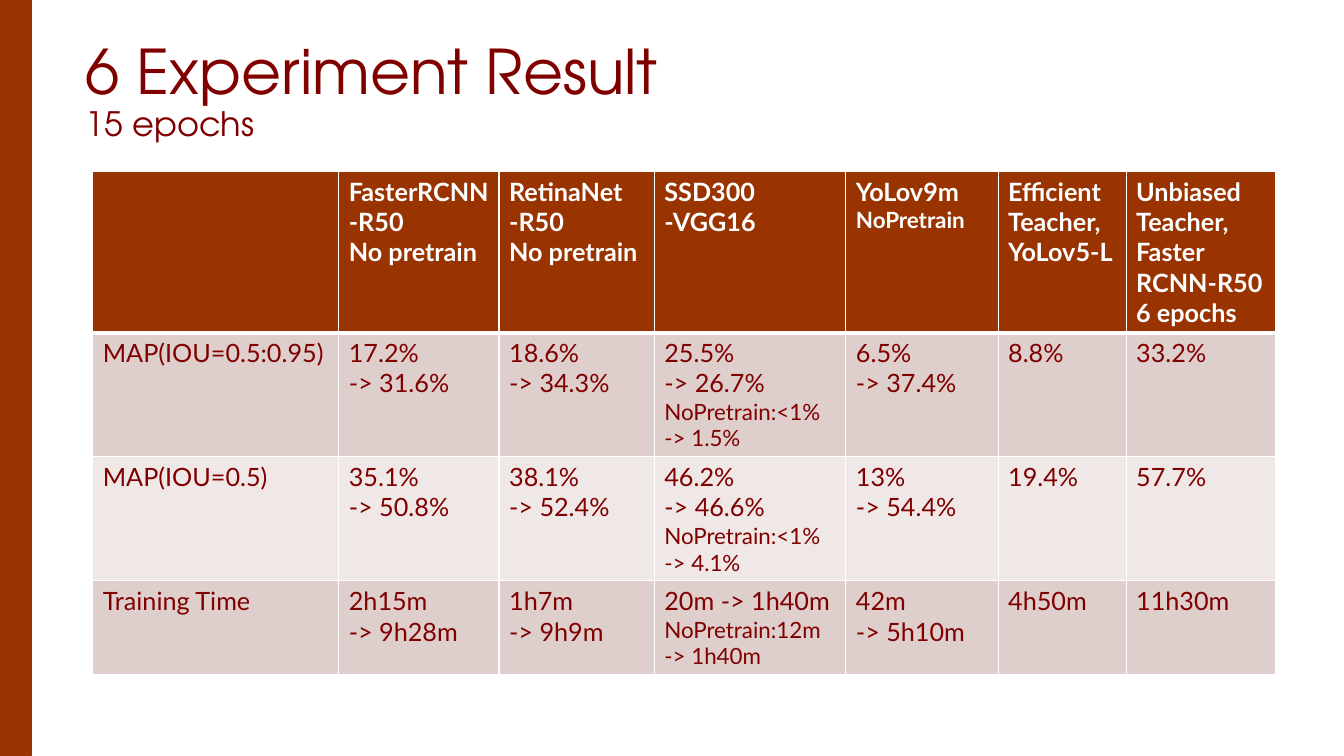
from pptx import Presentation
from pptx import util as u
from pptx.dml.color import RGBColor
from pptx.enum import shapes, text
from pptx.oxml import parse_xml
from pptx.oxml.ns import nsdecls

RUST, MAROON, WHITE = "993300", "800000", "FFFFFF"
BANDS = ["DECECC", "EFE8E7"]
TITLE_FONT, TABLE_FONT = "TeX Gyre Adventor", "Lato"

COLUMN_WIDTHS = [2.44, 1.59, 1.54, 1.9, 1.51, 1.27, 1.48]
ROW_HEIGHTS = [1.59, 1.23, 1.23, 0.93]
RESULTS = [
    ["", "FasterRCNN\n-R50\nNo pretrain", "RetinaNet\n-R50\nNo pretrain",
     "SSD300\n-VGG16", "YoLov9m\nNoPretrain", "Efficient Teacher,\nYoLov5-L",
     "Unbiased\nTeacher,\nFaster\nRCNN-R50\n6 epochs"],
    ["MAP(IOU=0.5:0.95)", "17.2%\n-> 31.6%", "18.6%\n-> 34.3%",
     "25.5%\n-> 26.7%\nNoPretrain:<1%\n-> 1.5%", "6.5%\n-> 37.4%", "8.8%", "33.2%"],
    ["MAP(IOU=0.5)", "35.1%\n-> 50.8%", "38.1%\n-> 52.4%",
     "46.2%\n-> 46.6%\nNoPretrain:<1%\n-> 4.1%", "13%\n-> 54.4%", "19.4%", "57.7%"],
    ["Training Time", "2h15m\n-> 9h28m", "1h7m\n-> 9h9m",
     "20m -> 1h40m\nNoPretrain:12m\n-> 1h40m", "42m\n-> 5h10m", "4h50m", "11h30m"],
]


def color(hex_value):
    return RGBColor.from_string(hex_value)


def style_font(font, name, size, hex_value, bold=False):
    font.name, font.size, font.bold = name, u.Pt(size), bold
    font.color.rgb = color(hex_value)


def place(shape, left, top, width, height):
    shape.left, shape.top = u.Inches(left), u.Inches(top)
    shape.width, shape.height = u.Inches(width), u.Inches(height)


def add_side_bar(slide, left, top, width, height):
    bar = slide.shapes.add_shape(shapes.MSO_SHAPE.RECTANGLE, *map(
        u.Inches, (left, top, width, height)))
    bar.shadow.inherit = False
    bar.fill.solid()
    bar.fill.fore_color.rgb = color(RUST)
    bar.line.color.rgb = color(RUST)
    bar.line.width = u.Pt(2.25)


def add_title(slide, left, top, width, height):
    title = slide.shapes.title
    place(title, left, top, width, height)
    frame = title.text_frame
    frame.word_wrap = True
    frame.auto_size = text.MSO_AUTO_SIZE.NONE
    frame.vertical_anchor = text.MSO_ANCHOR.MIDDLE
    heading = frame.paragraphs[0]
    heading.alignment = text.PP_ALIGN.LEFT
    heading.line_spacing = 0.9
    topic = heading.add_run()
    topic.text = "6 Experiment Result"
    style_font(topic.font, TITLE_FONT, 44, MAROON)
    heading.add_line_break()
    epochs = heading.add_run()
    epochs.text = "15 epochs"
    style_font(epochs.font, TITLE_FONT, 24, MAROON)


def add_borders(cell, top, bottom):
    properties = cell._tc.get_or_add_tcPr()
    for side, points in (("L", 1), ("R", 1), ("T", top), ("B", bottom)):
        properties.append(parse_xml(
            f'<a:ln{side} {nsdecls("a")} w="{u.Pt(points)}"><a:solidFill>'
            f'<a:srgbClr val="{WHITE}"/></a:solidFill></a:ln{side}>'))


def fill_cell(cell, content, row):
    is_header = row == 0
    add_borders(cell, top=3 if row == 1 else 1, bottom=3 if is_header else 1)
    cell.fill.solid()
    cell.fill.fore_color.rgb = color(RUST if is_header else BANDS[(row - 1) % 2])
    cell.text_frame.text = content
    size = 18
    for line in cell.text_frame.paragraphs:
        # Figures without pretraining, and what follows them, are smaller
        if line.text.startswith("NoPretrain"):
            size = 16
        style_font(line.font, TABLE_FONT, size, WHITE if is_header else MAROON, is_header)


def add_results_table(slide, left, top):
    results = slide.shapes.add_table(
        len(ROW_HEIGHTS), len(COLUMN_WIDTHS), u.Inches(left), u.Inches(top),
        u.Inches(sum(COLUMN_WIDTHS)), u.Inches(sum(ROW_HEIGHTS))).table
    for column, width in zip(results.columns, COLUMN_WIDTHS):
        column.width = u.Inches(width)
    for row, (height, contents) in enumerate(zip(ROW_HEIGHTS, RESULTS)):
        results.rows[row].height = u.Inches(height)
        for column, content in enumerate(contents):
            fill_cell(results.cell(row, column), content, row)


def main():
    deck = Presentation()
    deck.slide_width, deck.slide_height = u.Inches(13.33), u.Inches(7.5)
    slide = deck.slides.add_slide(deck.slide_layouts[5])
    # Side bar, title and results
    add_side_bar(slide, 0, 0, 0.3, 7.5)
    add_title(slide, 0.75, 0.14, 11.5, 1.56)
    add_results_table(slide, 0.92, 1.7)
    deck.save("out.pptx")


if __name__ == "__main__":
    main()
